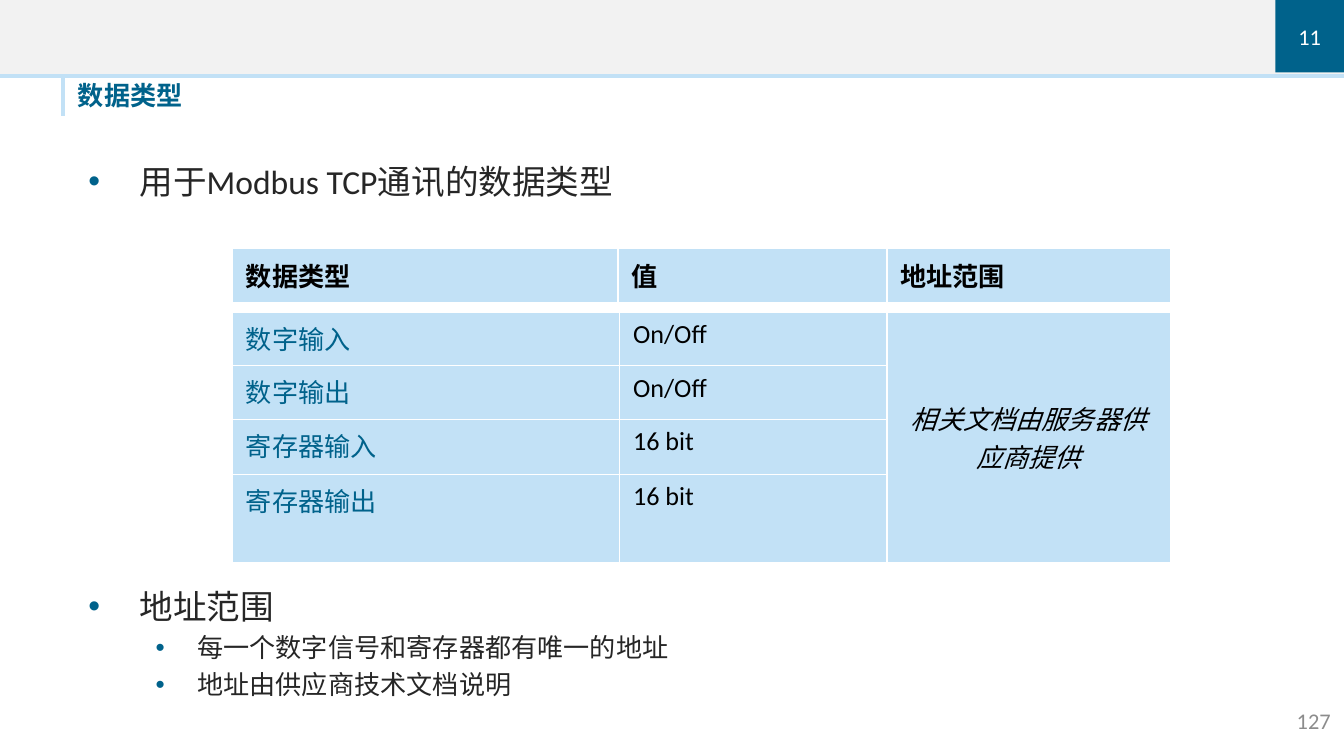
from dataclasses import dataclass

import pptx
import pptx.dml.color
import pptx.enum.shapes
import pptx.enum.text
import pptx.oxml
import pptx.oxml.ns
import pptx.util
from pptx.util import Inches

ALIGN = pptx.enum.text.PP_ALIGN
ANCHOR = pptx.enum.text.MSO_ANCHOR


@dataclass(frozen=True)
class Theme:
    accent: str = "00628B"
    pale: str = "C2E1F6"
    band: str = "F2F2F2"
    body: str = "262626"
    muted: str = "8C8C8C"
    black: str = "000000"
    white: str = "FFFFFF"
    font: str = "Calibri"
    label_font: str = "Courier New"
    large: int = 18
    medium: int = 14
    small: int = 12


THEME = Theme()


def color(value):
    return pptx.dml.color.RGBColor.from_string(value)


def add_xml(parent, tag, content="", **attributes):
    namespace = pptx.oxml.ns.nsdecls("a")
    values = " ".join(f'{key}="{value}"' for key, value in attributes.items())
    element = pptx.oxml.parse_xml(f"<a:{tag} {namespace} {values}>{content}</a:{tag}>")
    parent.append(element)


def style(paragraph, size, fill, name=THEME.font, bold=False, italic=False, align=ALIGN.LEFT):
    paragraph.alignment = align
    font = paragraph.font
    font.size = pptx.util.Pt(size)
    font.name = name
    font.bold = bold
    font.italic = italic
    font.color.rgb = color(fill)


def add_rectangle(slide, left, top, width, height, fill):
    shape = slide.shapes.add_shape(
        pptx.enum.shapes.MSO_SHAPE.RECTANGLE,
        Inches(left), Inches(top), Inches(width), Inches(height))
    shape.shadow.inherit = False
    shape.fill.solid()
    shape.fill.fore_color.rgb = color(fill)
    shape.line.fill.background()
    return shape


def add_text_box(slide, left, top, width, height):
    frame = slide.shapes.add_textbox(
        Inches(left), Inches(top), Inches(width), Inches(height)).text_frame
    frame.word_wrap = True
    return frame


def remove_margins(frame):
    frame.margin_left = frame.margin_right = 0
    frame.margin_top = frame.margin_bottom = 0


def add_header(slide, left, top, width, height, chapter):
    add_rectangle(slide, left, top, width, height, THEME.pale)
    add_rectangle(slide, left, top, width, height - 0.03, THEME.band)
    badge_width = 0.51
    badge = add_rectangle(
        slide, left + width - badge_width, top, badge_width, height - 0.04, THEME.accent)
    frame = badge.text_frame
    remove_margins(frame)
    frame.vertical_anchor = ANCHOR.MIDDLE
    frame.text = chapter
    style(frame.paragraphs[0], THEME.small, THEME.white, align=ALIGN.CENTER)


def add_title(slide, left, top, width, height, text):
    rule = slide.shapes.add_connector(
        pptx.enum.shapes.MSO_CONNECTOR.STRAIGHT,
        Inches(left), Inches(top), Inches(left), Inches(top + height))
    rule.line.color.rgb = color(THEME.pale)
    rule.line.width = pptx.util.Pt(2.5)
    add_xml(rule._element.spPr, "effectLst")
    frame = add_text_box(slide, left + 0.11, top + 0.01, width - 0.11, height)
    remove_margins(frame)
    frame.text = text
    style(frame.paragraphs[0], THEME.medium, THEME.accent, bold=True)


def add_bullets(slide, left, top, width, height, items):
    levels = [(0.38, -0.38, THEME.large), (0.81, -0.31, THEME.medium)]
    frame = add_text_box(slide, left, top, width, height)
    frame.text = "\n".join(text for level, text in items)
    for paragraph, (level, text) in zip(frame.paragraphs, items):
        margin, indent, size = levels[level]
        paragraph.level = level
        if level:
            paragraph.space_before = pptx.util.Pt(3)
        properties = paragraph._p.get_or_add_pPr()
        properties.set("marL", str(Inches(margin)))
        properties.set("indent", str(Inches(indent)))
        add_xml(properties, "buClr", f'<a:srgbClr val="{THEME.accent}"/>')
        add_xml(properties, "buFont", typeface="Arial")
        add_xml(properties, "buChar", char="•")
        style(paragraph, size, THEME.body)


def fill_cell(cell, text, anchor=ANCHOR.TOP, **text_style):
    cell.text = text
    cell.vertical_anchor = anchor
    style(cell.text_frame.paragraphs[0], THEME.medium, **text_style)


def add_grid(slide, left, top, columns, rows):
    table = slide.shapes.add_table(
        len(rows), len(columns), Inches(left), Inches(top),
        Inches(sum(columns)), Inches(sum(rows))).table
    table.first_row = table.horz_banding = False
    for column, width in zip(table.columns, columns):
        column.width = Inches(width)
    for row, height in zip(table.rows, rows):
        row.height = Inches(height)
    for cell in table.iter_cells():
        properties = cell._tc.get_or_add_tcPr()
        for side in ("lnL", "lnR", "lnT", "lnB"):
            add_xml(properties, side,
                    f'<a:solidFill><a:srgbClr val="{THEME.white}"/></a:solidFill>',
                    w=pptx.util.Pt(1))
        cell.fill.solid()
        cell.fill.fore_color.rgb = color(THEME.pale)
    return table


def add_data_types(slide, left, top, headings, records, note):
    table = add_grid(slide, left, top + 0.47, [2.88, 1.99, 2.11], [0.4, 0.4, 0.41, 0.66])
    for row, (label, value) in enumerate(records):
        fill_cell(table.cell(row, 0), label, fill=THEME.accent, name=THEME.label_font)
        fill_cell(table.cell(row, 1), value, fill=THEME.black)
    table.cell(0, 2).merge(table.cell(len(records) - 1, 2))
    fill_cell(table.cell(0, 2), note, ANCHOR.MIDDLE,
              fill=THEME.black, italic=True, align=ALIGN.CENTER)

    heading_table = add_grid(slide, left, top, [2.87, 2, 2.11], [0.4])
    for cell, text in zip(heading_table.iter_cells(), headings):
        fill_cell(cell, text, ANCHOR.MIDDLE, fill=THEME.black, bold=True)


def add_page_number(slide, left, top, width, height, number):
    frame = add_text_box(slide, left, top, width, height)
    frame.vertical_anchor = ANCHOR.MIDDLE
    frame.text = number
    style(frame.paragraphs[0], THEME.small, THEME.muted, align=ALIGN.RIGHT)


def main():
    presentation = pptx.Presentation()
    presentation.slide_width = Inches(10)
    presentation.slide_height = presentation.slide_width * 9 // 16
    slide = presentation.slides.add_slide(presentation.slide_layouts[6])

    add_header(slide, 0, 0, 10, 0.58, "11")
    add_title(slide, 0.47, 0.58, 4.52, 0.28, "数据类型")
    add_bullets(slide, 0.56, 1.15, 8.86, 0.45, [(0, "用于Modbus TCP通讯的数据类型")])
    add_data_types(
        slide, 1.73, 1.85, ["数据类型", "值", "地址范围"],
        [("数字输入", "On/Off"), ("数字输出", "On/Off"),
         ("寄存器输入", "16 bit"), ("寄存器输出", "16 bit")],
        "相关文档由服务器供应商提供")
    add_bullets(slide, 0.56, 4.31, 8.86, 1.1, [
        (0, "地址范围"),
        (1, "每一个数字信号和寄存器都有唯一的地址"),
        (1, "地址由供应商技术文档说明")])
    add_page_number(slide, 9, 5.21, 1, 0.3, "127")
    presentation.save("out.pptx")


if __name__ == "__main__":
    main()
